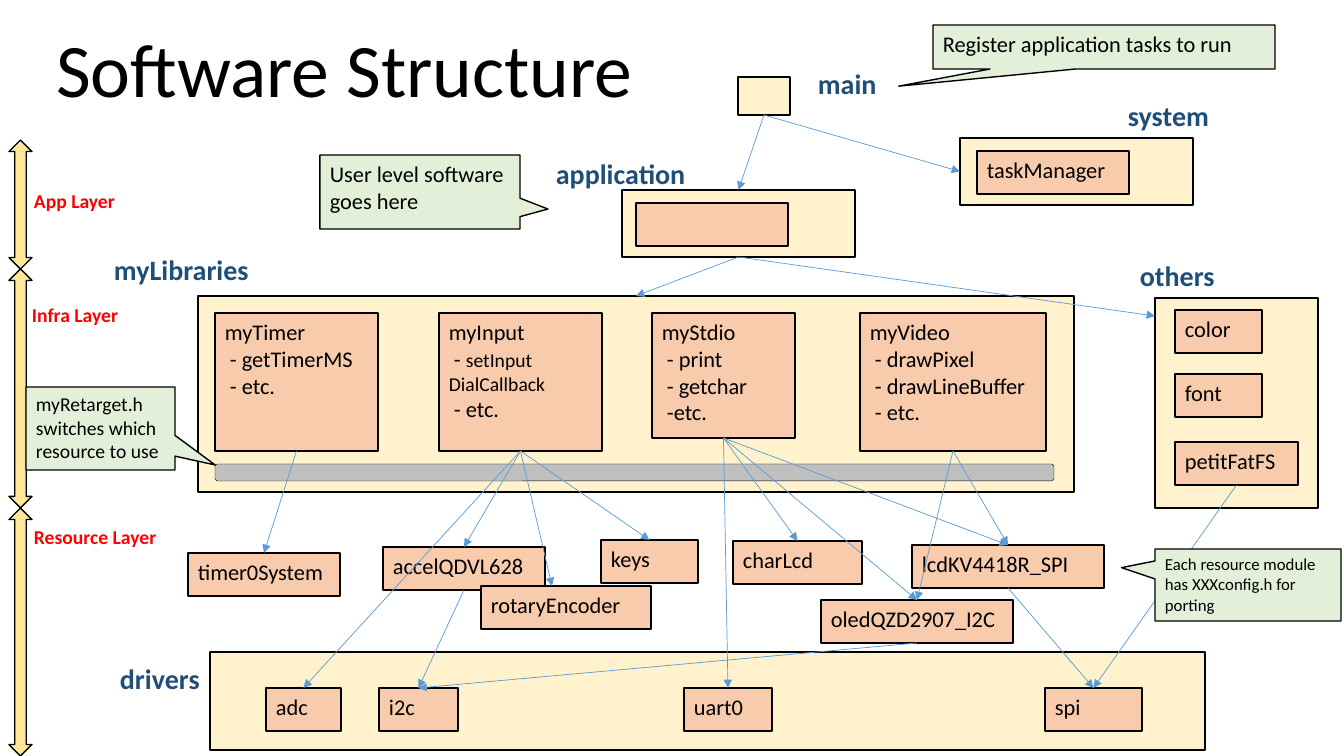
"""Build the Software Structure slide: packages, modules and their dependencies."""
from lxml.etree import SubElement
from pptx import Presentation
from pptx.dml.color import RGBColor
from pptx.enum.shapes import MSO_CONNECTOR, MSO_SHAPE
from pptx.enum.text import MSO_ANCHOR, MSO_AUTO_SIZE, PP_ALIGN
from pptx.oxml.ns import qn
from pptx.util import Emu, Pt

COLORS = {
    "package": "FFF2CC", "module": "F8CBAD", "bar": "BFBFBF", "layer": "FFE699",
    "callout": "E2F0D9", "link": "5B9BD5", "name": "1F4E79", "layer name": "FF0000",
    "black": "000000",
}
FONT = "Calibri"
MODULE_H = 43

TITLE = ("Software Structure", (46, 26, 1159, 93))
PACKAGES = {
    "myLibraries": (198, 296, 876, 196),
    "drivers": (210, 652, 995, 98),
    "others": (1155, 298, 163, 210),
    "main": (738, 77, 52, 38),
    "application": (622, 190, 233, 67),
    "system": (960, 138, 233, 67),
}
PACKAGE_NAMES = {
    "myLibraries": (104, 248, 156, 44),
    "drivers": (110, 657, 101, 44),
    "others": (1130, 254, 96, 44),
    "main": (808, 62, 80, 44),
    "application": (546, 152, 151, 44),
    "system": (1118, 94, 102, 44),
}
RETARGET_BAR = (215, 464, 839, 17)
LIBRARIES = {
    "myTimer": ((215, 313, 163, 138), [" - getTimerMS", " - etc."]),
    "myInput": ((439, 313, 163, 138), [" - |setInput DialCallback", " - etc."]),
    "myStdio": ((652, 313, 143, 125), [" - print", " - getchar", " -etc."]),
    "myVideo": ((860, 313, 186, 138), [" - drawPixel", " - drawLineBuffer", " - etc."]),
}
MODULES = {
    "": (636, 203, 152),
    "taskManager": (977, 151, 152),
    "color": (1175, 310, 87),
    "font": (1175, 374, 87),
    "petitFatFS": (1175, 442, 123),
    "timer0System": (188, 553, 152),
    "accelQDVL628": (383, 547, 162),
    "keys": (601, 540, 97),
    "rotaryEncoder": (481, 586, 170),
    "charLcd": (733, 541, 129),
    "lcdKV4418R_SPI": (912, 545, 192),
    "oledQZD2907_I2C": (821, 600, 192),
    "adc": (266, 688, 75),
    "i2c": (379, 688, 79),
    "uart0": (684, 688, 88),
    "spi": (1045, 688, 97),
}
LAYER_X, LAYER_W = 9, 23
LAYER_EDGES = [140, 269, 508, 756]
LAYER_NAMES = {
    "App Layer": (24, 184, 102, 34),
    "Infra Layer": (22, 298, 107, 34),
    "Resource Layer": (24, 520, 143, 34),
}
LINKS = {
    "main": ["application", "system"],
    "application": ["myLibraries", "others"],
    "myTimer": ["timer0System"],
    "myInput": ["accelQDVL628", "rotaryEncoder", "keys", "adc"],
    "myStdio": ["charLcd", "oledQZD2907_I2C", "lcdKV4418R_SPI", "uart0"],
    "myVideo": ["oledQZD2907_I2C", "lcdKV4418R_SPI"],
    "accelQDVL628": ["i2c"],
    "oledQZD2907_I2C": ["i2c"],
    "lcdKV4418R_SPI": ["spi"],
    "petitFatFS": ["spi"],
}
TOP, LEFT, BOTTOM = 0, 1, 2
OFF_CENTRE_ENDS = {"others": (1155, 316), "rotaryEncoder": (552, 586)}
CALLOUTS = [
    (["Register application tasks to run"], 16, (933, 25, 342, 44), (-0.6, 0.89)),
    (["User level software goes here"], 16, (320, 155, 200, 74), (0.64, 0.23)),
    (["myRetarget.h", "switches which resource to use"], 14, (26, 387, 149, 83), (0.77, 0.44)),
    (["Each resource module has XXXconfig.h for porting"], 12, (1155, 549, 186, 72), (-0.68, -0.24)),
]


def px(*values):
    return [Emu(round(v * 914400 / 100.8)) for v in values]


def rgb(name):
    return RGBColor.from_string(COLORS[name])


def write(sp, lines, size, color="black", bold=False, wrap=True, anchor=MSO_ANCHOR.TOP):
    tf = sp.text_frame
    tf.word_wrap, tf.vertical_anchor = wrap, anchor
    tf.auto_size = MSO_AUTO_SIZE.NONE if wrap else MSO_AUTO_SIZE.SHAPE_TO_FIT_TEXT
    for i, line in enumerate(lines):
        p = tf.add_paragraph() if i else tf.paragraphs[0]
        text, _, small = line.partition("|")
        p.text, p.alignment = text, PP_ALIGN.LEFT
        f = p.font
        f.name, f.size, f.bold = FONT, Pt(size), bold
        f.color.rgb = rgb(color)
        if small:
            r = p.add_run()
            r.text, r.font.size = small, Pt(14)


def draw(preset, box, fill, lines=(), size=16, width=1):
    sp = shapes.add_shape(preset, *px(*box))
    sp.shadow.inherit = False
    sp.fill.solid()
    sp.fill.fore_color.rgb = rgb(fill)
    sp.line.color.rgb = rgb("black")
    sp.line.width = Pt(width)
    write(sp, lines, size)
    return sp


def label(text, box, size, color):
    write(shapes.add_textbox(*px(*box)), [text], size, color, bold=True, wrap=False)


def link(source, target):
    end = OFF_CENTRE_ENDS.get(target)
    cx = shapes.add_connector(MSO_CONNECTOR.STRAIGHT, 0, 0, *px(*(end or (0, 0))))
    cx.begin_connect(nodes[source], BOTTOM)
    if not end:
        cx.end_connect(nodes[target], LEFT if target == "system" else TOP)
    cx.line.color.rgb = rgb("link")
    cx.line.width = Pt(0.5)
    props = cx._element.spPr
    SubElement(props.find(qn("a:ln")), qn("a:tailEnd"), type="triangle")
    SubElement(props, qn("a:effectLst"))


prs = Presentation()
prs.slide_width, prs.slide_height = px(1344, 756)
slide = prs.slides.add_slide(prs.slide_layouts[5])
shapes = slide.shapes

title, (text, box) = shapes.title, TITLE
title.left, title.top, title.width, title.height = px(*box)
write(title, [text], 54, anchor=MSO_ANCHOR.BOTTOM)
title.text_frame.paragraphs[0].line_spacing = 0.9

nodes = {name: draw(MSO_SHAPE.RECTANGLE, box, "package") for name, box in PACKAGES.items()}
draw(MSO_SHAPE.ROUNDED_RECTANGLE, RETARGET_BAR, "bar", width=0.25)
for name, (box, calls) in LIBRARIES.items():
    nodes[name] = draw(MSO_SHAPE.RECTANGLE, box, "module", [name, *calls])
for name, box in MODULES.items():
    nodes[name] = draw(MSO_SHAPE.RECTANGLE, (*box, MODULE_H), "module", [name] if name else [])

for top, bottom in zip(LAYER_EDGES, LAYER_EDGES[1:]):
    draw(MSO_SHAPE.UP_DOWN_ARROW, (LAYER_X, top, LAYER_W, bottom - top), "layer")
for name, box in LAYER_NAMES.items():
    label(name, box, 14, "layer name")
for name, box in PACKAGE_NAMES.items():
    label(name, box, 20, "name")

for source, targets in LINKS.items():
    for target in targets:
        link(source, target)

for lines, size, box, tip in CALLOUTS:
    sp = draw(MSO_SHAPE.RECTANGULAR_CALLOUT, box, "callout", lines, size)
    sp.adjustments[0], sp.adjustments[1] = tip

prs.save("out.pptx")
